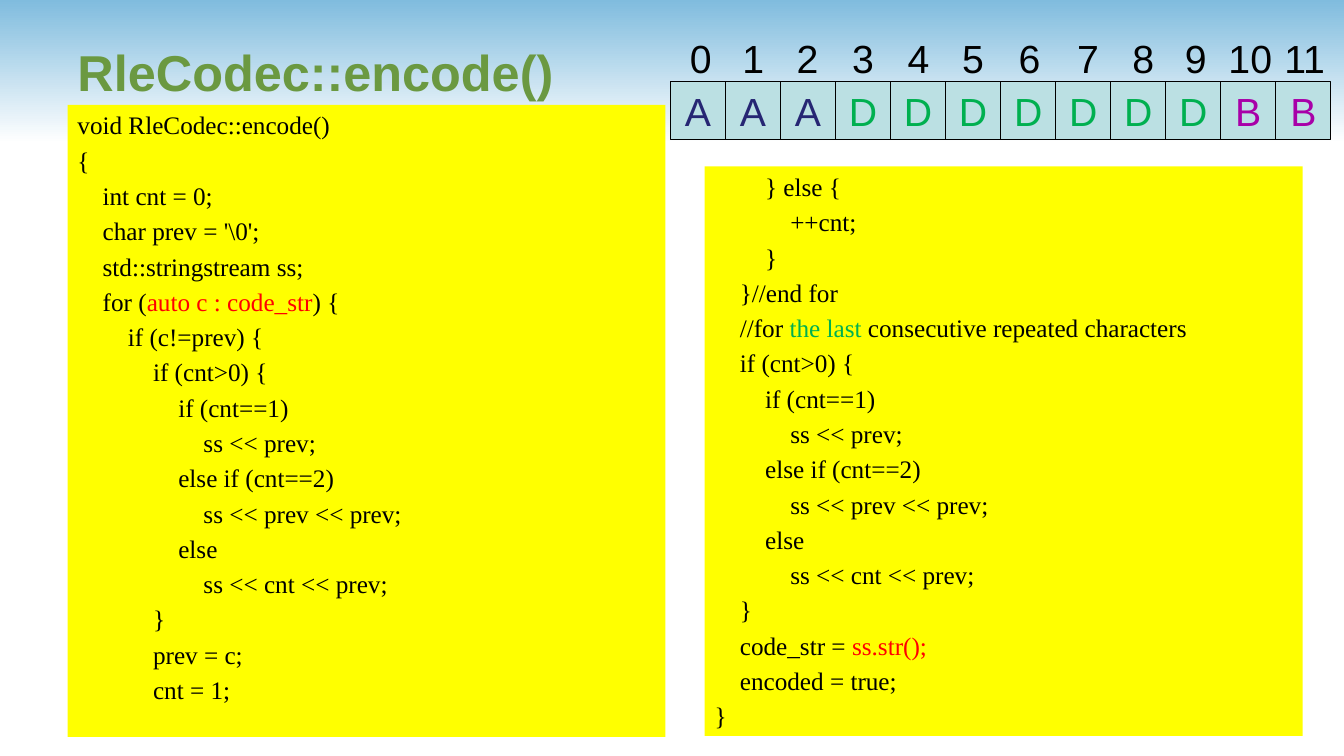
import pptx
import pptx.util
import pptx.dml.color
import pptx.enum.shapes
import pptx.enum.text

Inches = pptx.util.Inches
RGBColor = pptx.dml.color.RGBColor
ALIGN = pptx.enum.text.PP_ALIGN
ANCHOR = pptx.enum.text.MSO_ANCHOR
RECTANGLE = pptx.enum.shapes.MSO_SHAPE.RECTANGLE

BLACK = RGBColor(0x00, 0x00, 0x00)
WHITE = RGBColor(0xFF, 0xFF, 0xFF)
SKY = RGBColor(0x80, 0xBC, 0xDE)
TITLE_GREEN = RGBColor(0x6B, 0x99, 0x41)
YELLOW = RGBColor(0xFF, 0xFF, 0x00)
RED = RGBColor(0xFF, 0x00, 0x00)
GREEN = RGBColor(0x00, 0xB0, 0x50)
CELL_BLUE = RGBColor(0xBB, 0xE0, 0xE3)
NAVY = RGBColor(0x26, 0x26, 0x73)
PURPLE = RGBColor(0xA8, 0x00, 0xA8)


def add_rectangle(left, top, width, height, fill=None, line=None):
    shape = slide.shapes.add_shape(
        RECTANGLE, Inches(left), Inches(top), Inches(width), Inches(height))
    shape.shadow.inherit = False
    if fill is not None:
        shape.fill.solid()
        shape.fill.fore_color.rgb = fill
    if line is None:
        shape.line.fill.background()
    else:
        shape.line.color.rgb = line
        shape.line.width = pptx.util.Pt(0.75)
    return shape


def write_text(shape, lines, size, font="Arial", color=BLACK, bold=False,
               align=ALIGN.LEFT, anchor=ANCHOR.TOP, space_before=0, side_inset=0.1):
    """Write (indent level, runs) lines; a run is a string or a (string, colour) pair."""
    frame = shape.text_frame
    frame.word_wrap = True
    frame.vertical_anchor = anchor
    frame.margin_left = frame.margin_right = Inches(side_inset)
    for number, (level, *runs) in enumerate(lines):
        paragraph = frame.add_paragraph() if number else frame.paragraphs[0]
        paragraph.alignment = align
        paragraph.space_before = pptx.util.Pt(space_before)
        if level:
            properties = paragraph._p.get_or_add_pPr()
            properties.set("marL", str(Inches(0.25 * level)))
            properties.set("indent", "0")
        for item in runs:
            text, run_color = (item, color) if isinstance(item, str) else item
            run = paragraph.add_run()
            run.text = text
            run.font.name = font
            run.font.size = pptx.util.Pt(size)
            run.font.bold = bold
            run.font.color.rgb = run_color


presentation = pptx.Presentation()
presentation.slide_width = Inches(13.33)
presentation.slide_height = Inches(7.5)
slide = presentation.slides.add_slide(presentation.slide_layouts[6])

# Header band and title
band = add_rectangle(0, 0, 13.33, 1.42)
band.fill.gradient()
band.fill.gradient_angle = 270
for stop, color in zip(band.fill.gradient_stops, (SKY, WHITE)):
    stop.color.rgb = color

title = slide.shapes.add_textbox(Inches(0.67), Inches(0.08), Inches(12.11), Inches(1.25))
write_text(title, [(0, "RleCodec::encode()")], 36, color=TITLE_GREEN, bold=True,
           anchor=ANCHOR.MIDDLE)

# Code panels
first_half = [
    (0, "void RleCodec::encode()"),
    (0, "{"),
    (1, "int cnt = 0;"),
    (1, "char prev = '\\0';"),
    (1, "std::stringstream ss;"),
    (1, "for (", ("auto c : code_str", RED), ") {"),
    (2, "if (c!=prev) {"),
    (3, "if (cnt>0) {"),
    (4, "if (cnt==1)"),
    (5, "ss << prev;"),
    (4, "else if (cnt==2)"),
    (5, "ss << prev << prev;"),
    (4, "else"),
    (5, "ss << cnt << prev;"),
    (3, "}"),
    (3, "prev = c;"),
    (3, "cnt = 1;"),
]
second_half = [
    (2, "} else {"),
    (3, "++cnt;"),
    (2, "}"),
    (1, "}//end for"),
    (1, "//for ", ("the last ", GREEN), "consecutive repeated characters"),
    (1, "if (cnt>0) {"),
    (2, "if (cnt==1)"),
    (3, "ss << prev;"),
    (2, "else if (cnt==2)"),
    (3, "ss << prev << prev;"),
    (2, "else"),
    (3, "ss << cnt << prev;"),
    (1, "}"),
    (1, "code_str = ", ("ss.str();", RED)),
    (1, "encoded = true;"),
    (0, "}"),
]
for left, top, height, code in ((0.67, 1.04, 6.27, first_half),
                                (6.99, 1.65, 5.65, second_half)):
    panel = add_rectangle(left, top, 5.93, height, fill=YELLOW)
    write_text(panel, code, 18, font="Times New Roman", space_before=3.6)

# Character array with its indices
letter_colors = {"A": NAVY, "D": GREEN, "B": PURPLE}
cell_left, cell_pitch = 6.65, 6.55 / 12
index_centers = (6.95, 7.47, 8.01, 8.56, 9.11, 9.65, 10.21, 10.79, 11.34, 11.86, 12.4, 12.94)
for index, (letter, center) in enumerate(zip("AAADDDDDDDBB", index_centers)):
    cell = add_rectangle(cell_left + index * cell_pitch, 0.81, cell_pitch, 0.57,
                         fill=CELL_BLUE, line=BLACK)
    write_text(cell, [(0, letter)], 28, color=letter_colors[letter],
               align=ALIGN.CENTER, anchor=ANCHOR.MIDDLE, side_inset=0)

    width = 0.41 if index < 10 else 0.62
    label = slide.shapes.add_textbox(
        Inches(center - width / 2), Inches(0.29), Inches(width), Inches(0.45))
    write_text(label, [(0, str(index))], 28, align=ALIGN.CENTER, side_inset=0)

presentation.save("out.pptx")
